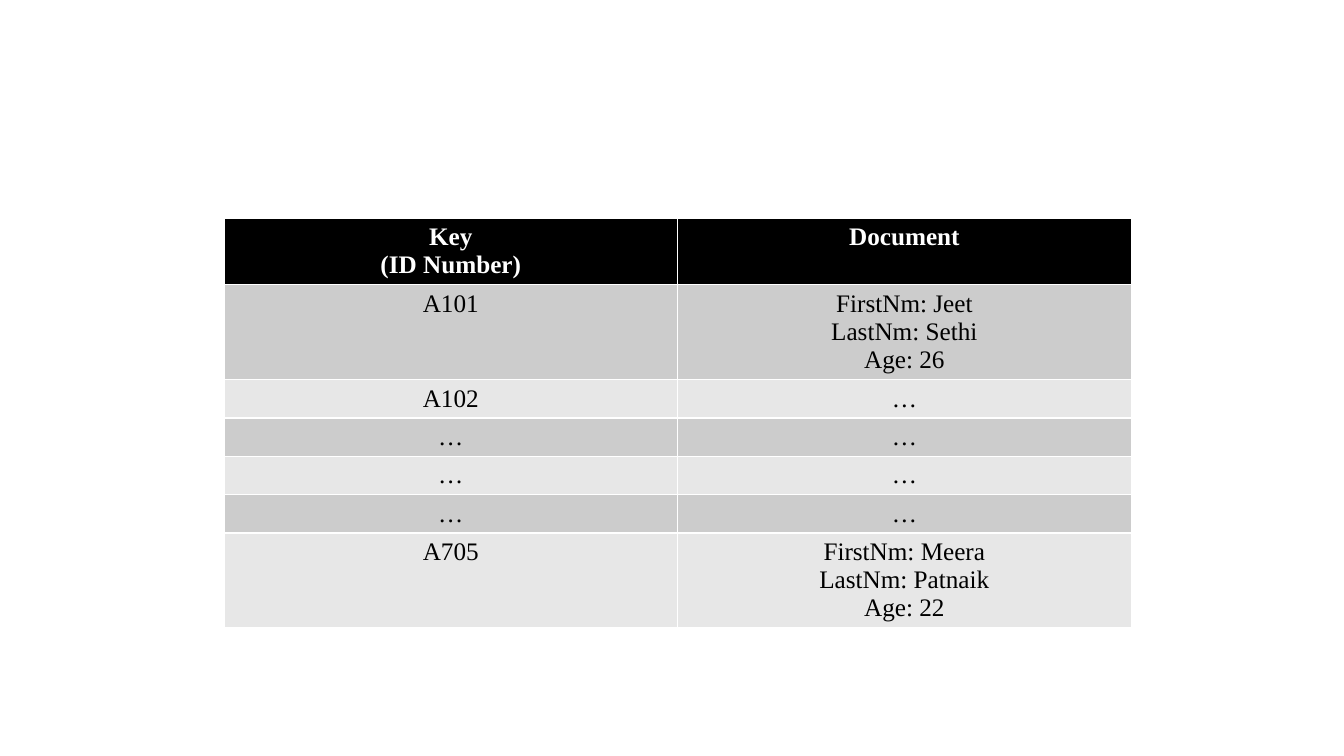
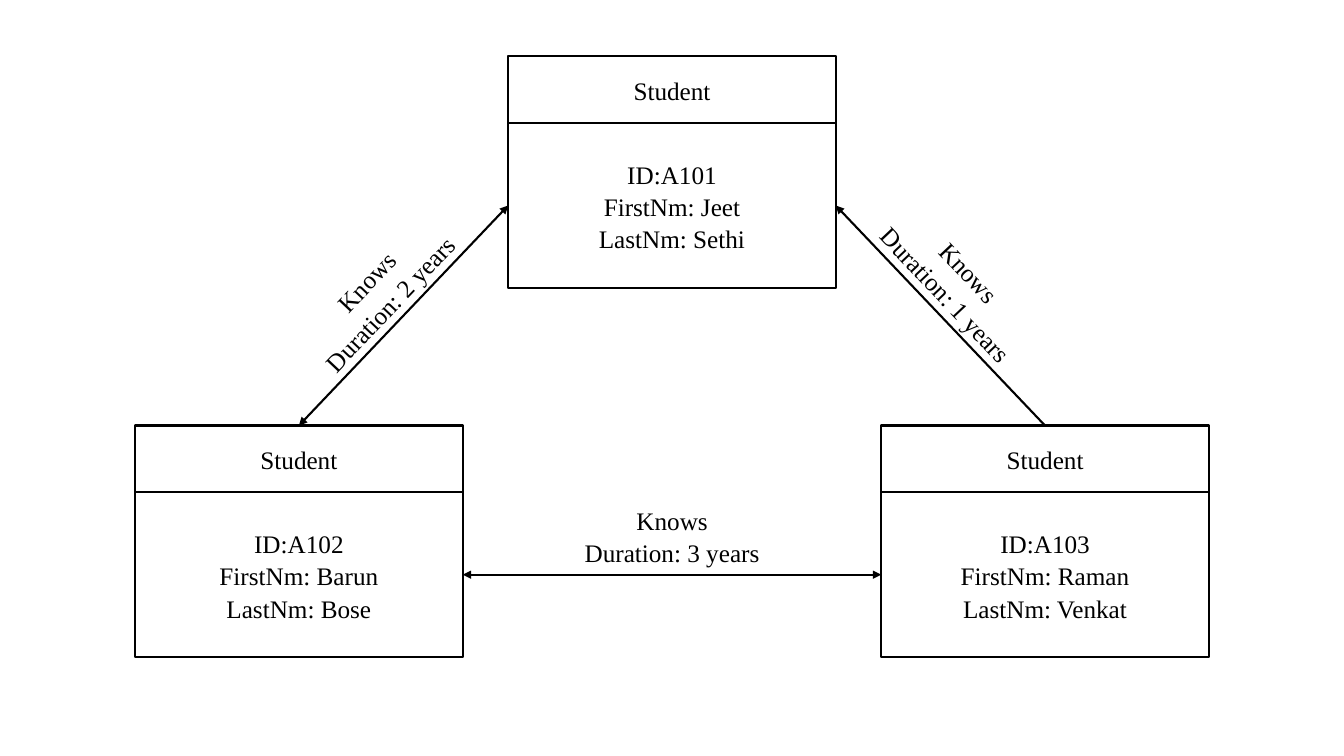
import pptx
import pptx.util
import pptx.dml.color
import pptx.enum.shapes
import pptx.enum.text
import pptx.oxml
import pptx.oxml.ns

Pt = pptx.util.Pt
FONT = "Times New Roman"
BLACK, WHITE = "000000", "FFFFFF"
BANDS = ["CCCCCC", "E7E7E7"]


def paint(target, color):
    """Give a fill, or the fill of a line, one solid colour."""
    target.solid()
    target.fore_color.rgb = pptx.dml.color.RGBColor.from_string(color)


def write(frame, text, color=BLACK, bold=False, space=1.07):
    frame.text = text
    frame.word_wrap = True
    for para in frame.paragraphs:
        para.alignment = pptx.enum.text.PP_ALIGN.CENTER
        para.line_spacing = space
        for run in para.runs:
            run.font.name = FONT
            run.font.size = Pt(18)
            run.font.bold = bold
            paint(run.font.fill, color)


deck = pptx.Presentation()
deck.slide_width, deck.slide_height = Pt(960), Pt(540)
blank = deck.slide_layouts[6]

# Slide 1: key and document table
rows = [
    ("Key\n(ID Number)", "Document"),
    ("A101", "FirstNm: Jeet\nLastNm: Sethi\nAge: 26"),
    ("A102", "…"),
    ("…", "…"),
    ("…", "…"),
    ("…", "…"),
    ("A705", "FirstNm: Meera\nLastNm: Patnaik\nAge: 22"),
]
heights = [7.2 + 20.2 * (max(text.count("\n") for text in row) + 1) for row in rows]
slide = deck.slides.add_slide(blank)
table = slide.shapes.add_table(
    len(rows), 2, Pt(160), Pt(155.8), Pt(648), Pt(sum(heights))
).table
for i, row in enumerate(rows):
    table.rows[i].height = Pt(heights[i])
    top = i == 0
    for j, text in enumerate(row):
        cell = table.cell(i, j)
        paint(cell.fill, BLACK if top else BANDS[(i - 1) % 2])
        write(cell.text_frame, text, WHITE if top else BLACK, top, 1.0)

# Slide 2: graph of students
slide = deck.slides.add_slide(blank)
WIDE, HEAD, BODY = 236.0 - 2, 47.5, 118
LEFT, MID, RIGHT = 96.5, 363, 629.5
HIGH, LOW = 40.3, 304
students = [
    (MID, HIGH, "ID:A101\nFirstNm: Jeet\nLastNm: Sethi"),
    (RIGHT, LOW, "ID:A103\nFirstNm: Raman\nLastNm: Venkat"),
    (LEFT, LOW, "ID:A102\nFirstNm: Barun\nLastNm: Bose"),
]
for x, y, facts in students:
    group = slide.shapes.add_group_shape()
    for top, tall, text in [(y + HEAD, BODY, facts), (y, HEAD, "Student")]:
        box = group.shapes.add_shape(
            pptx.enum.shapes.MSO_SHAPE.RECTANGLE, Pt(x), Pt(top), Pt(WIDE), Pt(tall)
        )
        box.shadow.inherit = False
        paint(box.fill, WHITE)
        paint(box.line.fill, BLACK)
        box.line.width = Pt(1.5)
        box.text_frame.vertical_anchor = pptx.enum.text.MSO_ANCHOR.MIDDLE
        write(box.text_frame, text)

# Links meet the boxes at the middle of a body side or of a top edge
side = HEAD + BODY / 2
links = [
    (MID, HIGH + side, LEFT + WIDE / 2, LOW, ["headEnd", "tailEnd"]),
    (RIGHT + WIDE / 2, LOW, MID + WIDE, HIGH + side, ["tailEnd"]),
    (LEFT + WIDE, LOW + side, RIGHT, LOW + side, ["headEnd", "tailEnd"]),
]
for x1, y1, x2, y2, ends in links:
    link = slide.shapes.add_connector(
        pptx.enum.shapes.MSO_CONNECTOR.STRAIGHT, Pt(x1), Pt(y1), Pt(x2), Pt(y2)
    )
    paint(link.line.fill, BLACK)
    link.line.width = Pt(1.5)
    props = link.line.fill._xPr
    for end in ends:
        tip = pptx.oxml.parse_xml(
            f'<a:{end} {pptx.oxml.ns.nsdecls("a")} type="triangle"/>'
        )
        props.append(tip)
    bare = pptx.oxml.parse_xml(f'<a:effectLst {pptx.oxml.ns.nsdecls("a")}/>')
    props.getparent().append(bare)

labels = [(399.6, 355.7, 0, 3), (187.9, 182.2, 313.4, 2), (604.8, 175.7, 46.6, 1)]
for x, y, turn, years in labels:
    label = slide.shapes.add_textbox(Pt(x), Pt(y), Pt(161), Pt(51))
    label.rotation = turn
    write(label.text_frame, f"Knows\nDuration: {years} years")

deck.save("out.pptx")
